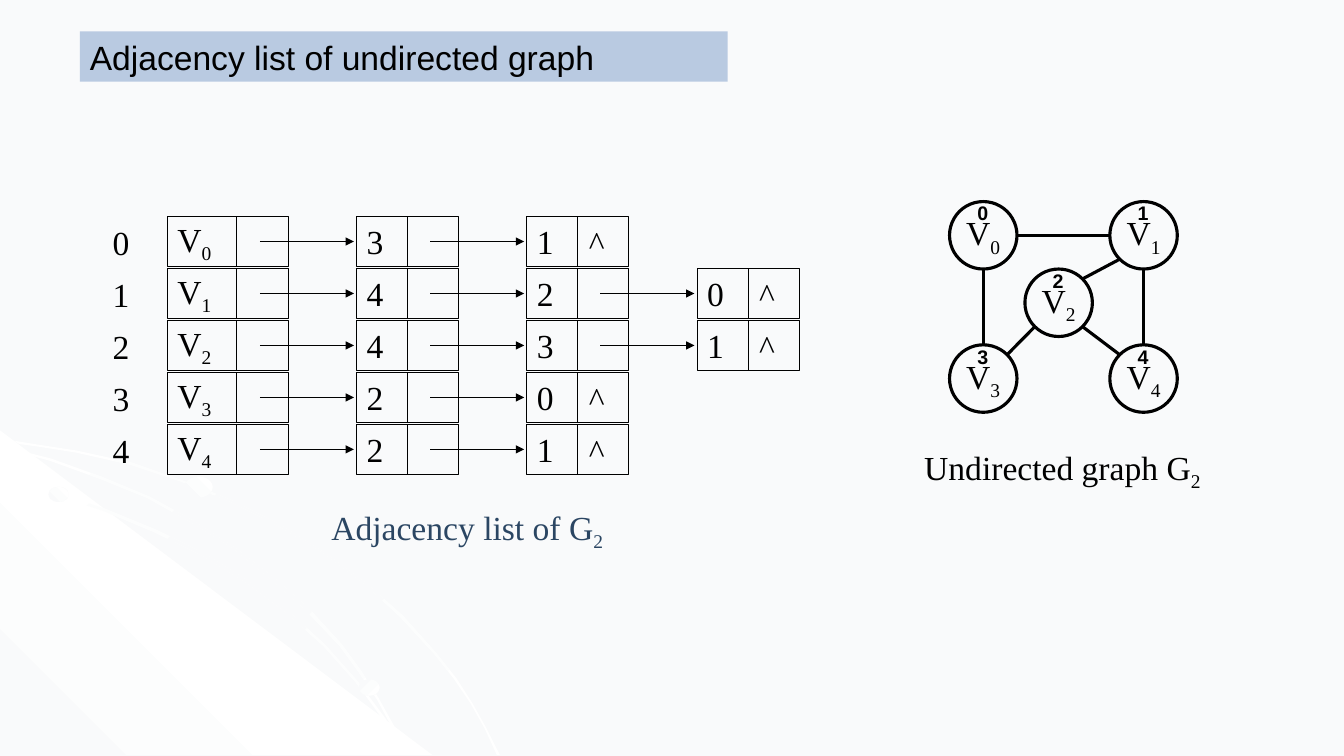
from math import cos, radians, sin

from lxml import etree
from pptx import Presentation
from pptx.dml.color import RGBColor
from pptx.enum.shapes import MSO_CONNECTOR, MSO_SHAPE
from pptx.enum.text import MSO_ANCHOR, PP_ALIGN
from pptx.oxml import parse_xml
from pptx.oxml.ns import nsdecls, qn
from pptx.util import Cm, Pt

BLACK, WHITE, PALE = "000000", "FFFFFF", "F9FAFB"
NAVY, BLUE = "2B4663", "B9CAE1"
SERIF, SANS = "Times New Roman", "Arial"


def paint(code):
    return RGBColor.from_string(code)


class Board:
    """Holds the text style and the current slide."""

    def __init__(self, deck):
        self.font, self.size = SERIF, 24
        self.slide = deck.slides.add_slide(deck.slide_layouts[5])
        self.items = self.slide.shapes
        fill = self.slide.background.fill
        fill.solid()
        fill.fore_color.rgb = paint(PALE)

    def words(self, shape, text, color=BLACK, font=None, size=None, bold=False,
              align=PP_ALIGN.LEFT, anchor=MSO_ANCHOR.TOP, wrap=True):
        """Add text run by run; what follows "_" is a subscript."""
        frame = shape.text_frame
        frame.word_wrap, frame.vertical_anchor = wrap, anchor
        line = frame.paragraphs[0]
        line.alignment = align
        for index, part in enumerate(text.split("_")):
            run = line.add_run()
            run.text = part
            run.font.name = font or self.font
            run.font.size = Pt(size or self.size)
            run.font.bold = bold
            run.font.color.rgb = paint(color)
            if index:
                run.font._element.set("baseline", "-25000")

    def title(self, text, x, y, w, h):
        box = self.items.title
        box.left, box.top, box.width, box.height = Cm(x), Cm(y), Cm(w), Cm(h)
        box.fill.solid()
        box.fill.fore_color.rgb = paint(BLUE)
        self.words(box, text, font=SANS)

    def label(self, text, x, y, w, h=1.27, **style):
        self.words(self.items.add_textbox(Cm(x), Cm(y), Cm(w), Cm(h)), text, **style)

    def shape(self, kind, text, x, y, w, h, weight, **style):
        item = self.items.add_shape(kind, Cm(x), Cm(y), Cm(w), Cm(h))
        item.shadow.inherit = False
        item.fill.background()
        item.line.color.rgb = paint(BLACK)
        item.line.width = Pt(weight)
        self.words(item, text, anchor=MSO_ANCHOR.MIDDLE, **style)
        return item

    def line(self, x1, y1, x2, y2, weight=0.75, arrow=False):
        item = self.items.add_connector(
            MSO_CONNECTOR.STRAIGHT, Cm(x1), Cm(y1), Cm(x2), Cm(y2))
        item.line.color.rgb = paint(BLACK)
        item.line.width = Pt(weight)
        if arrow:
            etree.SubElement(item.line._get_or_add_ln(), qn("a:tailEnd"), type="triangle")
        etree.SubElement(item._element.spPr, qn("a:effectLst"))
        return item

    def shade(self, item, colors, angle):
        """Give a shape an even gradient and no outline."""
        item.shadow.inherit = False
        item.line.fill.background()
        item.fill.background()
        step = 100000 // (len(colors) - 1)
        stops = "".join(f'<a:gs pos="{i * step}"><a:srgbClr val="{c}"/></a:gs>'
                        for i, c in enumerate(colors))
        props = item._element.spPr
        props.replace(props.find(qn("a:noFill")), parse_xml(
            f'<a:gradFill {nsdecls("a")} rotWithShape="1"><a:gsLst>{stops}</a:gsLst>'
            f'<a:lin ang="{angle * 60000}" scaled="0"/></a:gradFill>'))

    def curve(self, points, colors, angle):
        """Draw a closed outline on a grid of 100 steps to 2.54 cm."""
        pen = self.items.build_freeform(*points[0], scale=Cm(2.54) / 100)
        pen.add_line_segments(points[1:], close=True)
        self.shade(pen.convert_to_shape(), colors, angle)

    def dot(self, x, y, w, h, angle):
        item = self.items.add_shape(MSO_SHAPE.OVAL, Cm(x), Cm(y), Cm(w), Cm(h))
        self.shade(item, [PALE, WHITE], angle)


# Backdrop outlines
RAY = [(429, 749), (0, 749), (0, 427)]
STEMS = [
    [(76, 447), (37, 441), (0, 435), (0, 438), (37, 443), (75, 449), (129, 461),
     (180, 478), (231, 499), (278, 523), (321, 549), (361, 579), (397, 612),
     (431, 649), (450, 673), (467, 698), (481, 723), (493, 749), (496, 749),
     (483, 723), (469, 698), (453, 673), (433, 648), (400, 611), (363, 578),
     (322, 548), (279, 521), (232, 497), (182, 477), (131, 459)],
    [(380, 714), (392, 732), (401, 749), (404, 749), (394, 730), (382, 712),
     (355, 676), (323, 640), (286, 606), (246, 576), (203, 549), (156, 526),
     (105, 505), (54, 488), (0, 475), (0, 477), (51, 490), (103, 507),
     (153, 528), (200, 551), (244, 578), (284, 608), (321, 641), (353, 677)],
    [(0, 442), (0, 444), (49, 457), (99, 475), (146, 494), (189, 518), (231, 544),
     (269, 575), (303, 605), (337, 641), (356, 667), (374, 694), (389, 722),
     (401, 749), (404, 749), (391, 720), (376, 693), (358, 665), (339, 639),
     (306, 603), (272, 573), (233, 543), (191, 516), (149, 493), (101, 473),
     (51, 455)],
]
DOTS = [(1.22, 12.27, 0.51, 0.38, 315), (9.04, 17.12, 0.53, 0.41, 45),
        (4.65, 12.01, 0.71, 0.53, 315)]

# Adjacency list: one string of neighbours for each vertex
LISTS = ["31", "420", "431", "20", "21"]
TOP, PITCH, TALL = 5.46, 1.31, 1.25
HEAD, FIRST, STEP, WIDE = 4.22, 8.99, 4.29, 2.57

# Graph: circle centres, then edges as (from, to, angle at from)
SPOTS = [(24.78, 5.93), (28.82, 5.93), (26.68, 7.63), (24.78, 9.54), (28.82, 9.54)]
EDGES = [(0, 1, 0), (0, 3, 90), (1, 4, 90), (2, 4, 45), (1, 2, 135), (2, 3, 135)]
RADIUS = 0.85


def draw_back(board):
    board.curve(STEMS[0], [WHITE, PALE, WHITE], 45)
    board.curve(RAY, [PALE, WHITE, PALE], 315)
    for stem in STEMS[1:]:
        board.curve(stem, [WHITE, PALE, WHITE], 45)
    for dot in DOTS:
        board.dot(*dot)


def draw_lists(board):
    for row, links in enumerate(LISTS):
        y = TOP + row * PITCH
        board.label(str(row), 2.59, y, 1.12)
        board.shape(MSO_SHAPE.RECTANGLE, f"V_{row}", HEAD, y, 3.05, TALL, 0.75)
        board.line(5.97, y, 5.97, y + TALL)
        for col, link in enumerate(links):
            x = FIRST + col * STEP
            cell = board.shape(MSO_SHAPE.RECTANGLE, link, x, y, WIDE, TALL, 0.75)
            bar = board.line(x + WIDE / 2, y, x + WIDE / 2, y + TALL)
            bar.begin_connect(cell, 0)
            bar.end_connect(cell, 2)
            mid = y + TALL / 2
            board.line(x - 2.44, mid, x - 0.07, mid, arrow=True)
        board.label("^", x + 1.31, y, 1.09)
    board.label("Adjacency list of G_2", 8.1, 12.65, 7.39, color=NAVY, wrap=False)


def rim(spot, angle):
    x, y = SPOTS[spot]
    turn = radians(angle)
    return x + RADIUS * cos(turn), y + RADIUS * sin(turn)


def draw_graph(board):
    for start, end, angle in EDGES:
        board.line(*rim(start, angle), *rim(end, angle + 180), weight=2.25)
    for index, (x, y) in enumerate(SPOTS):
        board.shape(MSO_SHAPE.OVAL, f"V_{index}", x - RADIUS, y - RADIUS, 2 * RADIUS,
                    2 * RADIUS, 2.25, align=PP_ALIGN.CENTER, wrap=False)
        board.label(str(index), x - 0.4, y - 0.98, 0.79, 0.86,
                    font=SANS, size=14, bold=True, wrap=False)
    board.label("Undirected graph G_2", 23.04, 11.13, 7.49, wrap=False)


def main():
    deck = Presentation()
    deck.slide_width, deck.slide_height = Cm(33.87), Cm(19.05)
    board = Board(deck)
    draw_back(board)
    board.title("Adjacency list of undirected graph", 2.01, 0.79, 16.33, 1.27)
    draw_lists(board)
    draw_graph(board)
    deck.save("out.pptx")


if __name__ == "__main__":
    main()
